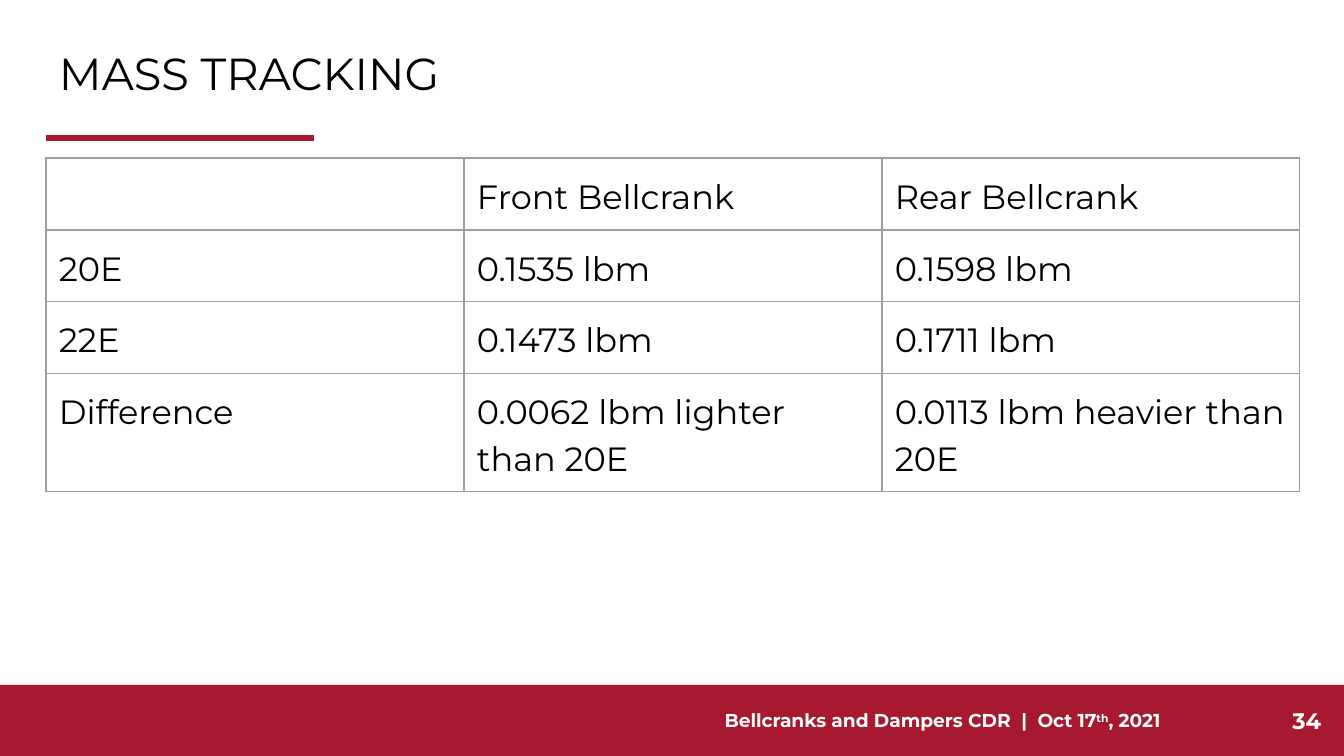
from lxml.etree import SubElement
from pptx import Presentation
from pptx.dml.color import RGBColor
from pptx.enum.shapes import MSO_CONNECTOR, MSO_SHAPE
from pptx.enum.text import MSO_ANCHOR, PP_ALIGN
from pptx.oxml import parse_xml
from pptx.oxml.ns import nsdecls, qn
from pptx.util import Emu, Pt

EMU_PER_PX = 914400 / 134.4
SLIDE_W, SLIDE_H = 1344, 756
MARGIN = 46
FOOTER_TOP, FOOTER_H = 685, 71
INSET = 13
COLORS = {"crimson": "A6192E", "white": "FFFFFF", "black": "000000", "grid": "9E9E9E"}

MASSES = [
    ["", "Front Bellcrank", "Rear Bellcrank"],
    ["20E", "0.1535 lbm", "0.1598 lbm"],
    ["22E", "0.1473 lbm", "0.1711 lbm"],
    ["Difference", "0.0062 lbm lighter than 20E", "0.0113 lbm heavier than 20E"],
]
COLUMN_W = 418
ROW_HEIGHTS = [67, 67, 67, 114]


def px(length):
    return Emu(round(length * EMU_PER_PX))


def rgb(name):
    return RGBColor.from_string(COLORS[name])


class SlideBuilder:
    font = "Montserrat"

    def __init__(self, slide):
        self.slide = slide
        self.shapes = slide.shapes

    def bar(self, left, top, width, height, color):
        bar = self.shapes.add_shape(MSO_SHAPE.RECTANGLE, *map(px, (left, top, width, height)))
        bar.shadow.inherit = False
        bar.fill.solid()
        bar.fill.fore_color.rgb = rgb(color)
        bar.line.fill.background()

    def rule(self, left, top, width, color, weight):
        rule = self.shapes.add_connector(
            MSO_CONNECTOR.STRAIGHT, *map(px, (left, top, left + width, top)))
        rule.line.color.rgb = rgb(color)
        rule.line.width = Pt(weight)
        SubElement(rule._element.spPr, qn("a:effectLst"))

    def run(self, paragraph, text, size, color, bold=False, raised=False):
        run = paragraph.add_run()
        run.text = text
        run.font.name = self.font
        run.font.size = Pt(size)
        run.font.bold = bold
        run.font.color.rgb = rgb(color)
        if raised:
            run.font._element.set("baseline", "30000")

    def inset(self, holder):
        """Give a text frame or a table cell the common margins."""
        holder.margin_left = holder.margin_right = px(INSET)
        holder.margin_top = holder.margin_bottom = px(INSET)

    def text(self, left, top, width, height, pieces, size, color,
             bold=False, align=PP_ALIGN.LEFT):
        """Add a one-paragraph box; pieces are (text, raised) pairs."""
        box = self.shapes.add_textbox(*map(px, (left, top, width, height)))
        frame = box.text_frame
        frame.word_wrap = True
        frame.vertical_anchor = MSO_ANCHOR.MIDDLE
        self.inset(frame)
        paragraph = frame.paragraphs[0]
        paragraph.alignment = align
        for text, raised in pieces:
            self.run(paragraph, text, size, color, bold, raised)

    def borders(self, cell, color, weight):
        properties = cell._tc.get_or_add_tcPr()
        for index, side in enumerate(("lnL", "lnR", "lnT", "lnB")):
            properties.insert(index, parse_xml(
                f'<a:{side} {nsdecls("a")} w="{Pt(weight)}"><a:solidFill>'
                f'<a:srgbClr val="{COLORS[color]}"/></a:solidFill></a:{side}>'))

    def table(self, left, top, column_width, row_heights, rows, size):
        columns = len(rows[0])
        table = self.shapes.add_table(
            len(rows), columns, px(left), px(top),
            px(column_width * columns), px(sum(row_heights))).table
        table.first_row = table.horz_banding = False
        for column in table.columns:
            column.width = px(column_width)
        for row, height, texts in zip(table.rows, row_heights, rows):
            row.height = px(height)
            for cell, text in zip(row.cells, texts):
                cell.fill.background()
                self.inset(cell)
                self.borders(cell, "grid", 0.75)
                if text:
                    paragraph = cell.text_frame.paragraphs[0]
                    paragraph.line_spacing = 1.14
                    paragraph.space_before = Pt(5)
                    self.run(paragraph, text, size, "black")


def main():
    deck = Presentation()
    deck.slide_width, deck.slide_height = px(SLIDE_W), px(SLIDE_H)
    page = SlideBuilder(deck.slides.add_slide(deck.slide_layouts[6]))

    page.bar(0, FOOTER_TOP, SLIDE_W, FOOTER_H, "crimson")
    page.text(587, FOOTER_TOP, 711, FOOTER_H,
              [("Bellcranks and Dampers CDR  |  Oct 17", False), ("th", True), (", 2021", False)],
              10, "white", bold=True, align=PP_ALIGN.CENTER)
    page.rule(MARGIN, 138, 268, "crimson", 3)
    page.text(MARGIN, 30, SLIDE_W - 2 * MARGIN, 85, [("MASS TRACKING", False)], 24, "black")
    page.text(1246, FOOTER_TOP, 88, FOOTER_H, [("34", False)],
              12, "white", bold=True, align=PP_ALIGN.RIGHT)
    page.table(MARGIN, 158, COLUMN_W, ROW_HEIGHTS, MASSES, 18)

    deck.save("out.pptx")


if __name__ == "__main__":
    main()
